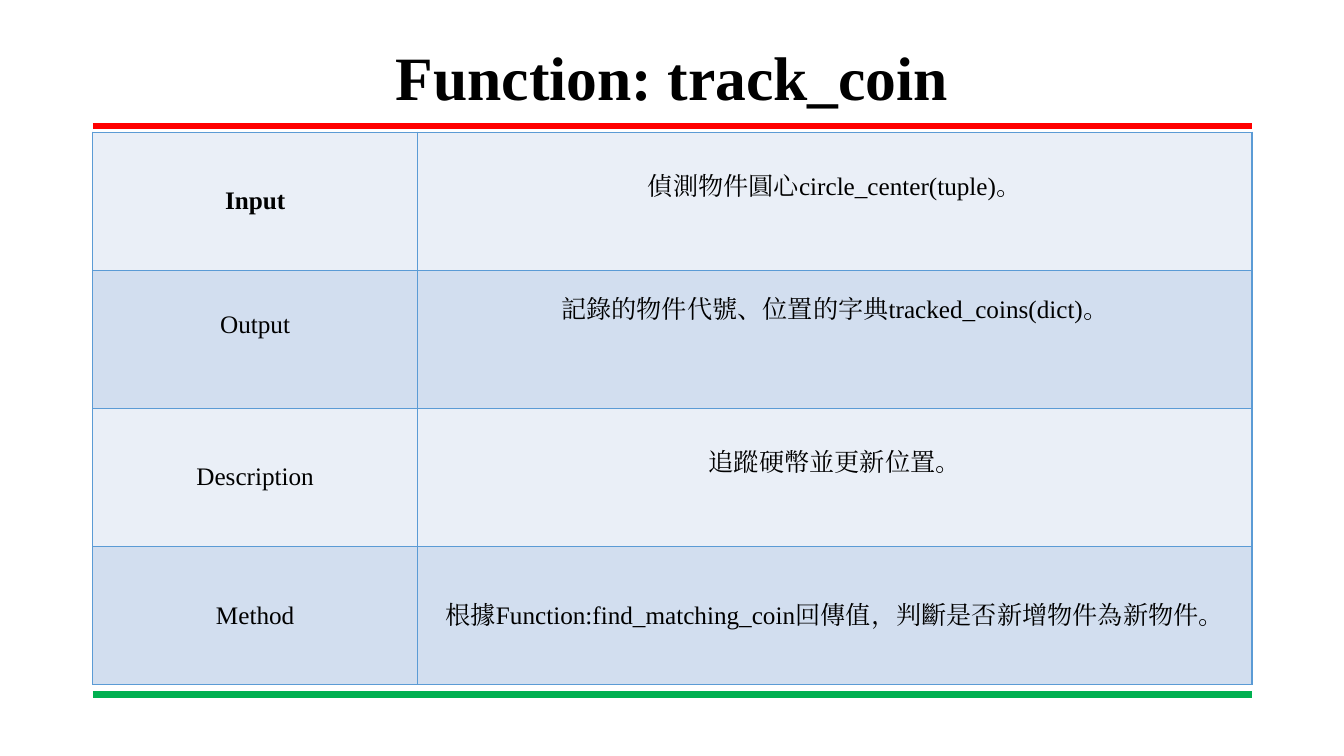
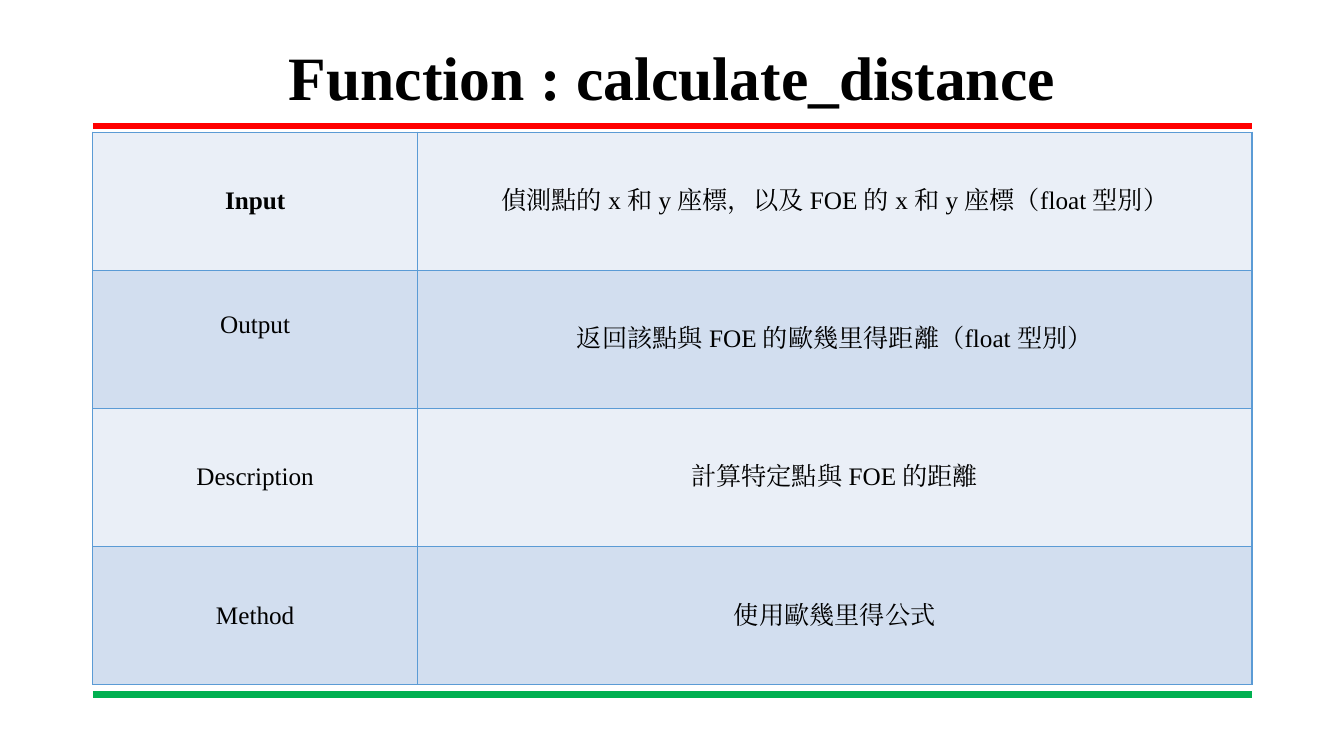
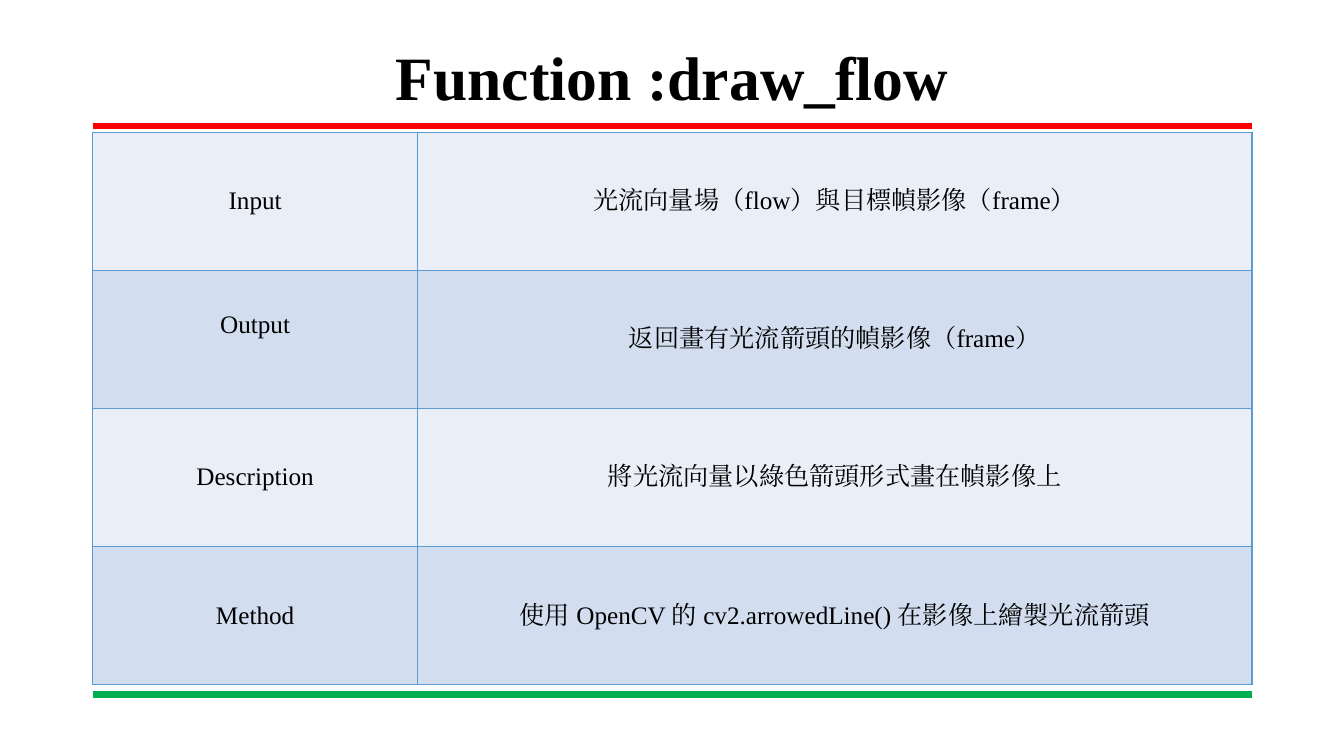
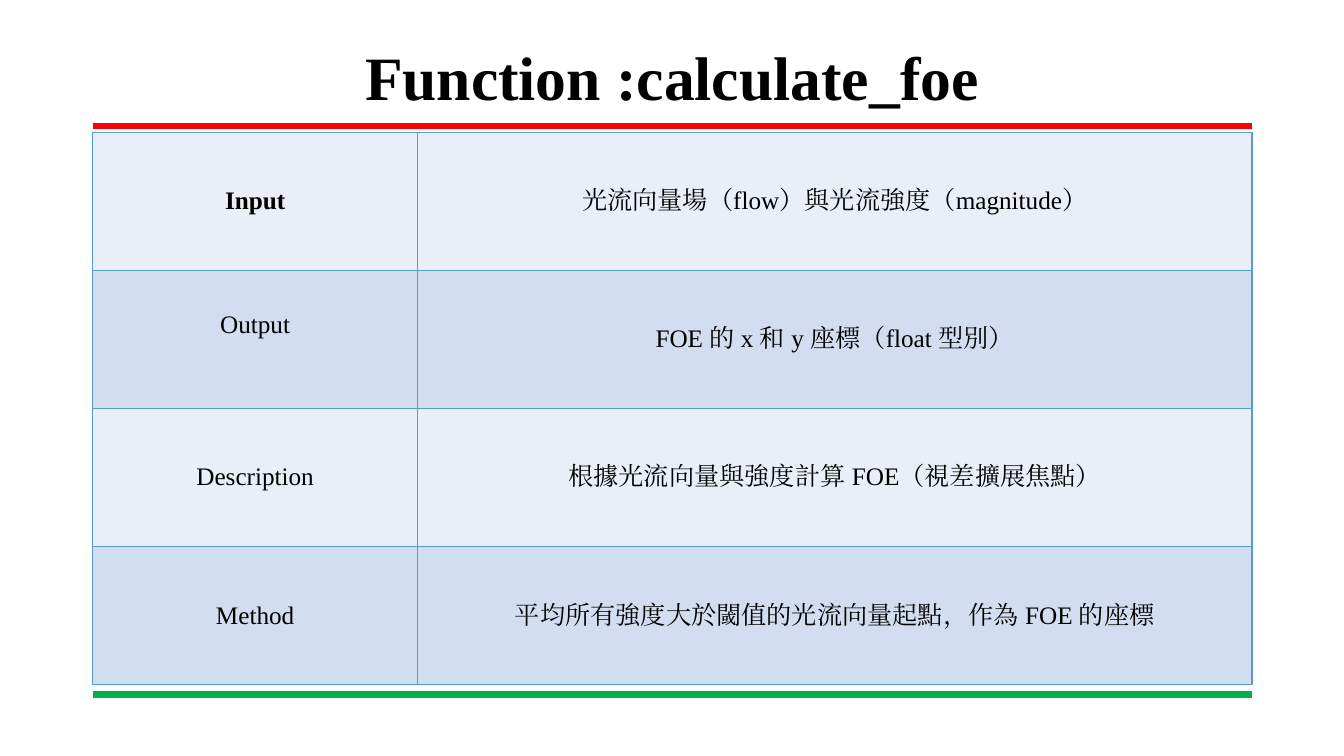
from lxml import etree
from pptx import Presentation
from pptx.dml.color import RGBColor
from pptx.enum.shapes import MSO_CONNECTOR
from pptx.enum.text import MSO_ANCHOR, PP_ALIGN
from pptx.oxml.ns import qn
from pptx.util import Cm, Pt

STRAIGHT = MSO_CONNECTOR.STRAIGHT
MIDDLE = MSO_ANCHOR.MIDDLE
CENTER = PP_ALIGN.CENTER

LABELS = ["Input", "Output", "Description", "Method"]
LABEL_LIFTS = [0, 1, 0, 0]
SLIDES = [
    {
        "title": "Function: track_coin",
        "values": [
            "偵測物件圓心circle_center(tuple)。",
            "記錄的物件代號、位置的字典tracked_coins(dict)。",
            "追蹤硬幣並更新位置。",
            "根據Function:find_matching_coin回傳值，判斷是否新增物件為新物件。",
        ],
        "lifts": [1, 2, 1, 0],
        "bold_input": True,
    },
    {
        "title": "Function : calculate_distance",
        "values": [
            "偵測點的 x 和 y 座標，以及 FOE 的 x 和 y 座標（float 型別）",
            "返回該點與 FOE 的歐幾里得距離（float 型別）",
            "計算特定點與 FOE 的距離",
            "使用歐幾里得公式",
        ],
        "lifts": [0, 0, 0, 0],
        "bold_input": True,
    },
    {
        "title": "Function :draw_flow",
        "values": [
            "光流向量場（flow）與目標幀影像（frame）",
            "返回畫有光流箭頭的幀影像（frame）",
            "將光流向量以綠色箭頭形式畫在幀影像上",
            "使用 OpenCV 的 cv2.arrowedLine() 在影像上繪製光流箭頭",
        ],
        "lifts": [0, 0, 0, 0],
        "bold_input": False,
    },
    {
        "title": "Function :calculate_foe",
        "values": [
            "光流向量場（flow）與光流強度（magnitude）",
            "FOE 的 x 和 y 座標（float 型別）",
            "根據光流向量與強度計算 FOE（視差擴展焦點）",
            "平均所有強度大於閾值的光流向量起點，作為 FOE 的座標",
        ],
        "lifts": [0, 0, 0, 0],
        "bold_input": True,
    },
]

FONT = "Times New Roman"
BLACK = "000000"
BORDER = "5B9BD5"
ROW_FILLS = ["EAEFF7", "D2DEEF"]
RULES = [(3.18, "FF0000"), (17.5, "00B050")]
TITLE_FORMAT = {"name": FONT, "size": Pt(44), "bold": True}
CELL_FORMAT = {"name": FONT, "size": Pt(18), "bold": False}

LEFT, WIDTH = 2.34, 29.21
TITLE_TOP, TITLE_HEIGHT = 1.02, 2
TABLE_TOP, ROW_HEIGHT = 3.33, 3.48
COLUMNS = [8.18, 21.03]
CELL_MARGIN, LINE_HEIGHT = 0.13, 0.73


def rgb(value):
    return RGBColor.from_string(value)


def write(tf, text, fmt):
    p = tf.paragraphs[0]
    p.alignment = CENTER
    r = p.add_run()
    r.text = text
    for key, value in fmt.items():
        setattr(r.font, key, value)
    r.font.color.rgb = rgb(BLACK)
    etree.SubElement(r.font._element, qn("a:ea"), typeface=FONT)
    return p


def add_rules(slide):
    for y, color in RULES:
        line = slide.shapes.add_connector(
            STRAIGHT, Cm(LEFT), Cm(y), Cm(LEFT + WIDTH), Cm(y))
        line.line.color.rgb = rgb(color)
        line.line.width = Pt(4.5)
        etree.SubElement(line._element.spPr, qn("a:effectLst"))


def add_title(slide, text):
    box = slide.shapes.add_textbox(
        Cm(LEFT), Cm(TITLE_TOP), Cm(WIDTH), Cm(TITLE_HEIGHT))
    tf = box.text_frame
    tf.word_wrap = True
    tf.vertical_anchor = MIDDLE
    write(tf, text, TITLE_FORMAT).line_spacing = 0.9


def set_borders(cell):
    tcPr = cell._tc.get_or_add_tcPr()
    for i, side in enumerate(["lnL", "lnR", "lnT", "lnB"]):
        ln = etree.Element(qn(f"a:{side}"), w=str(Pt(1)))
        fill = etree.SubElement(ln, qn("a:solidFill"))
        etree.SubElement(fill, qn("a:srgbClr"), val=BORDER)
        tcPr.insert(i, ln)


def fill_cell(cell, text, fill, lift, bold):
    cell.fill.solid()
    cell.fill.fore_color.rgb = rgb(fill)
    cell.vertical_anchor = MIDDLE
    cell.margin_bottom = Cm(CELL_MARGIN + lift * LINE_HEIGHT)
    write(cell.text_frame, text, {**CELL_FORMAT, "bold": bold})
    set_borders(cell)


def add_function_table(slide, spec):
    rows = len(LABELS)
    table = slide.shapes.add_table(
        rows, len(COLUMNS), Cm(LEFT), Cm(TABLE_TOP),
        Cm(WIDTH), Cm(rows * ROW_HEIGHT)).table
    for column, width in zip(table.columns, COLUMNS):
        column.width = Cm(width)
    for i, label in enumerate(LABELS):
        table.rows[i].height = Cm(ROW_HEIGHT)
        fill = ROW_FILLS[i % 2]
        bold = i == 0 and spec["bold_input"]
        fill_cell(table.cell(i, 0), label, fill, LABEL_LIFTS[i], bold)
        fill_cell(table.cell(i, 1), spec["values"][i], fill,
                  spec["lifts"][i], False)


def main():
    prs = Presentation()
    prs.slide_width, prs.slide_height = Cm(33.87), Cm(19.05)
    for content in SLIDES:
        slide = prs.slides.add_slide(prs.slide_layouts[6])
        add_rules(slide)
        add_function_table(slide, content)
        add_title(slide, content["title"])
    prs.save("out.pptx")


if __name__ == "__main__":
    main()
